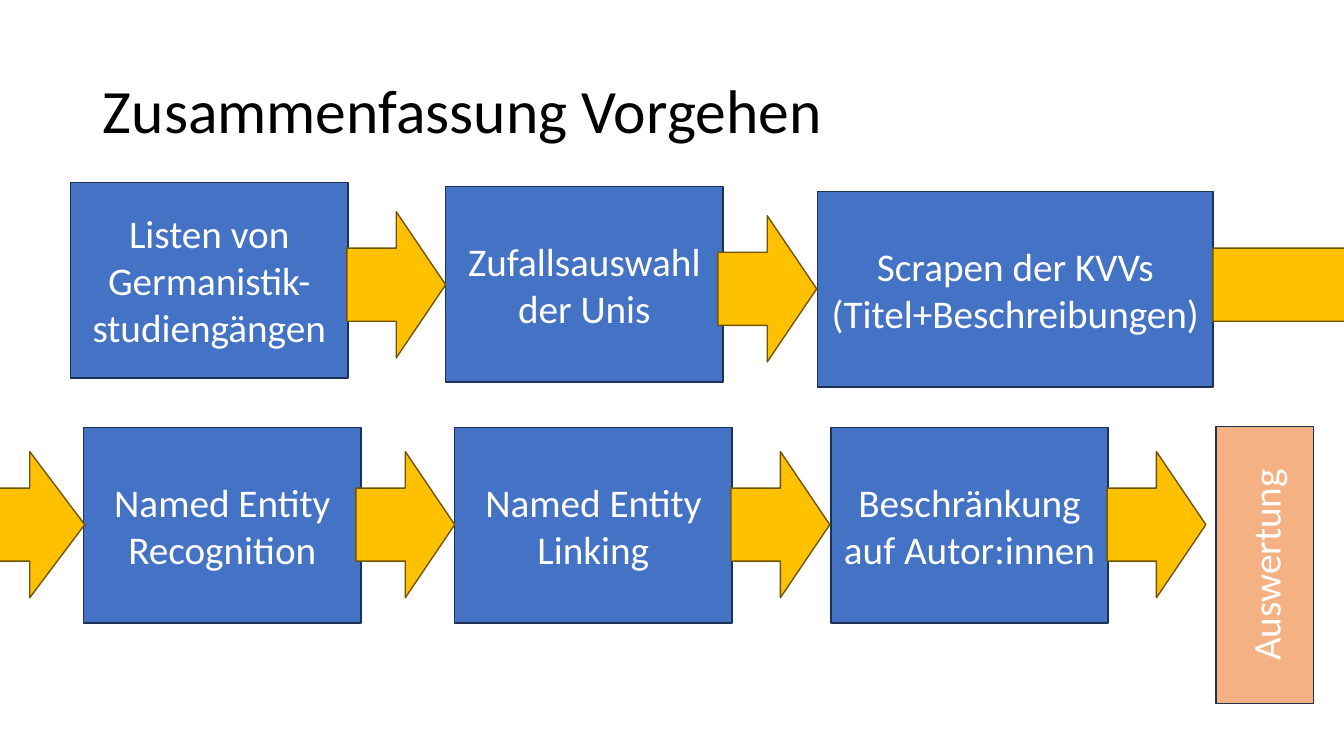
"""Build the slide that sums up the seven steps of the procedure."""
from pptx import Presentation
from pptx import util as u
from pptx.dml.color import RGBColor
from pptx.enum import shapes, text

BLACK = RGBColor(0x00, 0x00, 0x00)
WHITE = RGBColor(0xFF, 0xFF, 0xFF)
BLUE = RGBColor(0x44, 0x72, 0xC4)
NAVY = RGBColor(0x1E, 0x32, 0x56)
GOLD = RGBColor(0xFF, 0xC0, 0x00)
BROWN = RGBColor(0x70, 0x54, 0x00)
PEACH = RGBColor(0xF4, 0xB1, 0x83)

STEP_W, STEP_H = 2.75, 1.94
ARROW_W, ARROW_H = 0.98, 1.45
LOWER_STEP_TOP, LOWER_ARROW_TOP = 4.24, 4.48


def format_text(frame, size, color, alignment):
    frame.word_wrap = True
    frame.auto_size = text.MSO_AUTO_SIZE.NONE
    frame.vertical_anchor = text.MSO_ANCHOR.MIDDLE
    paragraph = frame.paragraphs[0]
    paragraph.alignment = alignment
    paragraph.font.color.rgb = color
    for name, value in {"name": "Calibri", "size": u.Pt(size)}.items():
        setattr(paragraph.font, name, value)


def add_block(preset, place, fill, outline):
    block = slide.shapes.add_shape(preset, *map(u.Inches, place))
    block.shadow.inherit = False
    block.fill.solid()
    block.fill.fore_color.rgb = fill
    block.line.color.rgb = outline
    block.line.width = u.Pt(1)
    return block


presentation = Presentation()
presentation.slide_width = u.Inches(13.33)
presentation.slide_height = u.Inches(7.5)
slide = presentation.slides.add_slide(presentation.slide_layouts[5])

heading = slide.shapes.title
heading_place = {"left": 0.92, "top": 0.4, "width": 11.5, "height": 1.45}
for side, length in heading_place.items():
    setattr(heading, side, u.Inches(length))
heading.text_frame.text = "Zusammenfassung Vorgehen"
heading.text_frame.paragraphs[0].line_spacing = 0.9
format_text(heading.text_frame, 44, BLACK, text.PP_ALIGN.LEFT)

steps = [
    ("Listen von Germanistik-studiengängen", 0.7, 1.81, STEP_W),
    ("Zufallsauswahl der Unis", 4.42, 1.85, STEP_W),
    ("Scrapen der KVVs (Titel+Beschreibungen)", 8.11, 1.9, 3.92),
    ("Named Entity Recognition", 0.83, LOWER_STEP_TOP, STEP_W),
    ("Named Entity Linking", 4.51, LOWER_STEP_TOP, STEP_W),
    ("Beschränkung auf Autor:innen", 8.24, LOWER_STEP_TOP, STEP_W),
    ("Auswertung", 11.17, 5.12, STEP_W),
]
for label, left, top, width in steps:
    is_result = label == "Auswertung"
    step = add_block(
        shapes.MSO_SHAPE.RECTANGLE,
        (left, top, width, STEP_H / 2 if is_result else STEP_H),
        PEACH if is_result else BLUE,
        NAVY,
    )
    step.rotation = 270 if is_result else 0
    step.text_frame.text = label
    format_text(step.text_frame, 28, WHITE, text.PP_ALIGN.CENTER)

arrows = [
    (3.44, 2.1, ARROW_W),
    (7.12, 2.14, ARROW_W),
    (12.03, 2.1, 2.31),
    (-0.25, LOWER_ARROW_TOP, 1.09),
    (3.53, LOWER_ARROW_TOP, ARROW_W),
    (7.25, LOWER_ARROW_TOP, ARROW_W),
    (10.98, LOWER_ARROW_TOP, ARROW_W),
]
for left, top, width in arrows:
    add_block(shapes.MSO_SHAPE.RIGHT_ARROW, (left, top, width, ARROW_H), GOLD, BROWN)

presentation.save("out.pptx")
